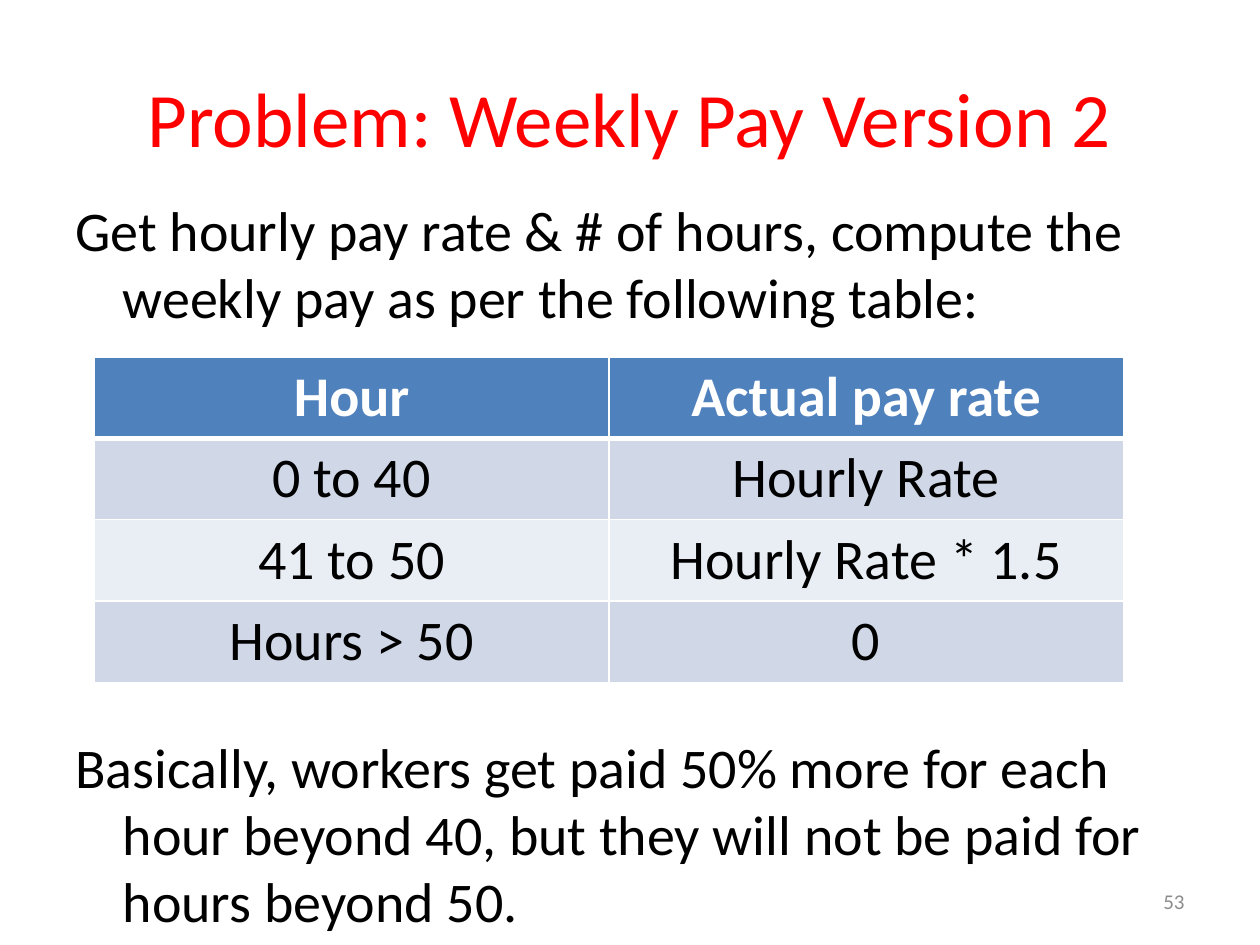
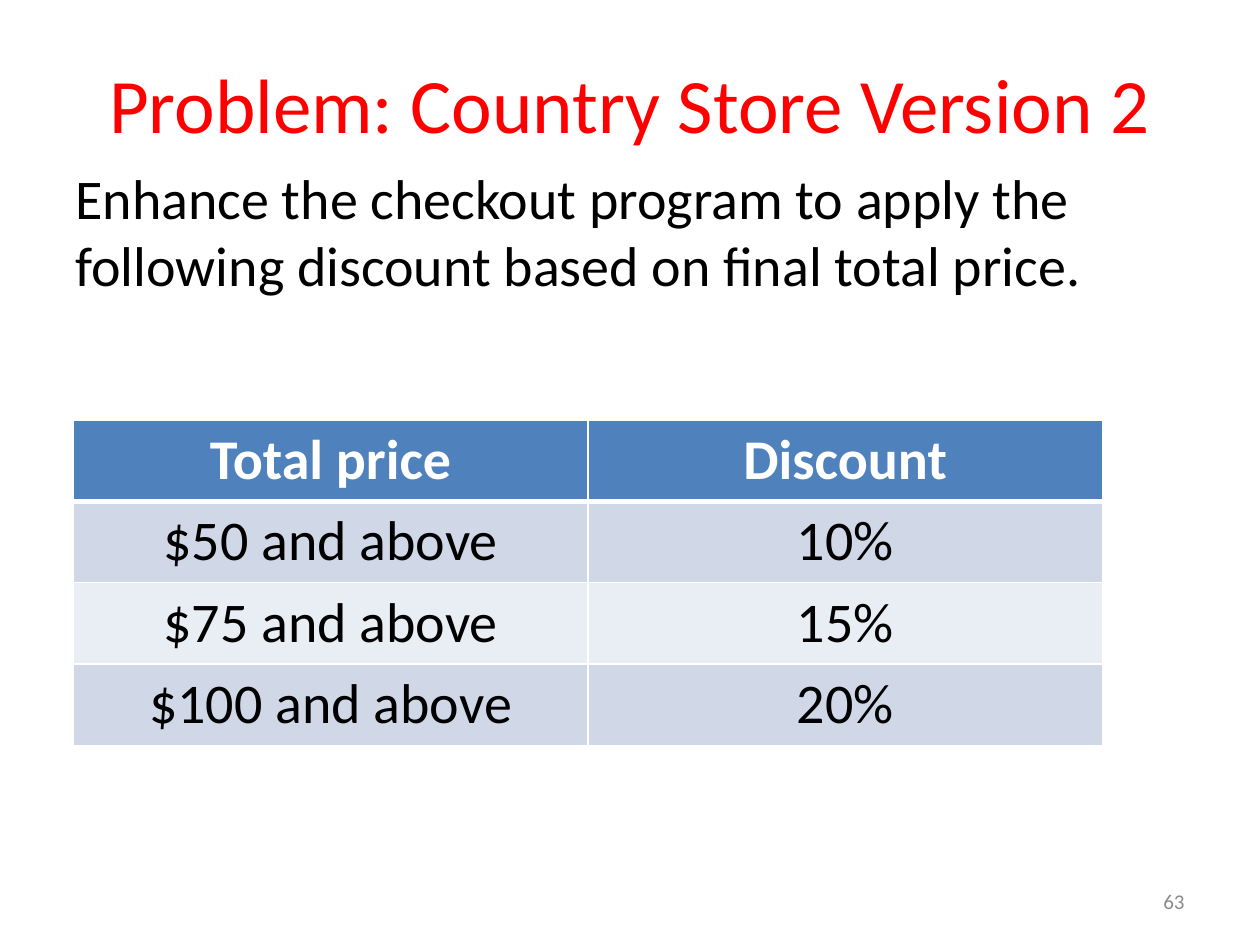
"""Two problem slides, each with a title, a body and a pay or discount table."""
import pptx
import pptx.util
import pptx.dml.color
import pptx.enum.text
import pptx.oxml.ns
import lxml.etree

Pt = pptx.util.Pt
ALIGN = pptx.enum.text.PP_ALIGN
ANCHOR = pptx.enum.text.MSO_ANCHOR
FONT = "Calibri"
RED, BLACK, WHITE, GREY = "FF0000", "000000", "FFFFFF", "8C8C8C"
HEAD, BANDS = "4F81BD", ("D0D8E8", "E9EDF4")
COLS, ROWS = 120, 90

deck = pptx.Presentation()
deck.slide_width = pptx.util.Inches(10)
deck.slide_height = pptx.util.Inches(7.5)


def tint(code):
    """Turn a hex string into a colour."""
    return pptx.dml.color.RGBColor.from_string(code)


def place(box):
    """Turn columns and rows of the grid into slide lengths."""
    wide, high = deck.slide_width / COLS, deck.slide_height / ROWS
    return [round(part * unit) for part, unit in zip(box, (wide, high) * 2)]


def write(frame, *texts, size=32, color=BLACK, bold=False,
          align=ALIGN.LEFT, hang=0, gap=0):
    """Fill a frame with paragraphs in one format, set apart by a gap."""
    for rank, text in enumerate(texts):
        para = frame.add_paragraph() if rank else frame.paragraphs[0]
        para.alignment = align
        if rank:
            para.space_before = Pt(gap)
        if hang:
            props = para._p.get_or_add_pPr()
            props.set("marL", str(Pt(hang)))
            props.set("indent", str(-Pt(hang)))
        run = para.add_run()
        run.text = text
        font = run.font
        font.name, font.size, font.bold = FONT, Pt(size), bold
        font.color.rgb = tint(color)


def label(slide, box, *texts, anchor=ANCHOR.TOP, **style):
    """Add a wrapped text box."""
    frame = slide.shapes.add_textbox(*place(box)).text_frame
    frame.word_wrap = True
    frame.vertical_anchor = anchor
    write(frame, *texts, **style)


def edge(cell, **sides):
    """Draw white cell borders with the given widths."""
    props = cell._tc.get_or_add_tcPr()
    name = pptx.oxml.ns.qn
    for side, width in sides.items():
        line = lxml.etree.SubElement(props, name("a:ln" + side), w=str(Pt(width)))
        fill = lxml.etree.SubElement(line, name("a:solidFill"))
        lxml.etree.SubElement(fill, name("a:srgbClr"), val=WHITE)


def grid(slide, box, data):
    """Add a table with a header row and banded rows."""
    table = slide.shapes.add_table(len(data), len(data[0]), *place(box)).table
    table.horz_banding = False
    for row, texts in enumerate(data):
        top = row == 0
        for col, text in enumerate(texts):
            cell = table.cell(row, col)
            edge(cell, L=1, R=1, T=3 if row == 1 else 1, B=3 if top else 1)
            cell.fill.solid()
            cell.fill.fore_color.rgb = tint(HEAD if top else BANDS[(row - 1) % 2])
            write(cell.text_frame, text, color=WHITE if top else BLACK,
                  bold=top, align=ALIGN.CENTER)


def problem(title, deep, body, texts, spot, data, number, **style):
    """Add a slide with title, body text, table and page number."""
    slide = deck.slides.add_slide(deck.slide_layouts[6])
    label(slide, (6, 3.6, 108, deep), title, size=44, color=RED,
          align=ALIGN.CENTER, anchor=ANCHOR.MIDDLE)
    label(slide, body, *texts, **style)
    grid(slide, (*spot, 98, 31), data)
    label(slide, (86, 83.4, 28, 4.8), number, size=12, color=GREY,
          align=ALIGN.RIGHT, anchor=ANCHOR.MIDDLE)


problem(
    "Problem: Weekly Pay Version 2", 15, (6, 18, 108, 69),
    ["Get hourly pay rate & # of hours, compute the weekly pay as per "
     "the following table:",
     "Basically, workers get paid 50% more for each hour beyond 40, "
     "but they will not be paid for hours beyond 50."],
    (9, 34),
    [("Hour", "Actual pay rate"), ("0 to 40", "Hourly Rate"),
     ("41 to 50", "Hourly Rate * 1.5"), ("Hours > 50", "0")],
    "53", hang=27, gap=230)

problem(
    "Problem: Country Store Version 2", 12.4, (6, 15, 110, 69),
    ["Enhance the checkout program to apply the following discount "
     "based on final total price."],
    (7, 40),
    [("Total price", "Discount"), ("$50 and above", "10%"),
     ("$75 and above", "15%"), ("$100 and above", "20%")],
    "63")

deck.save("out.pptx")
